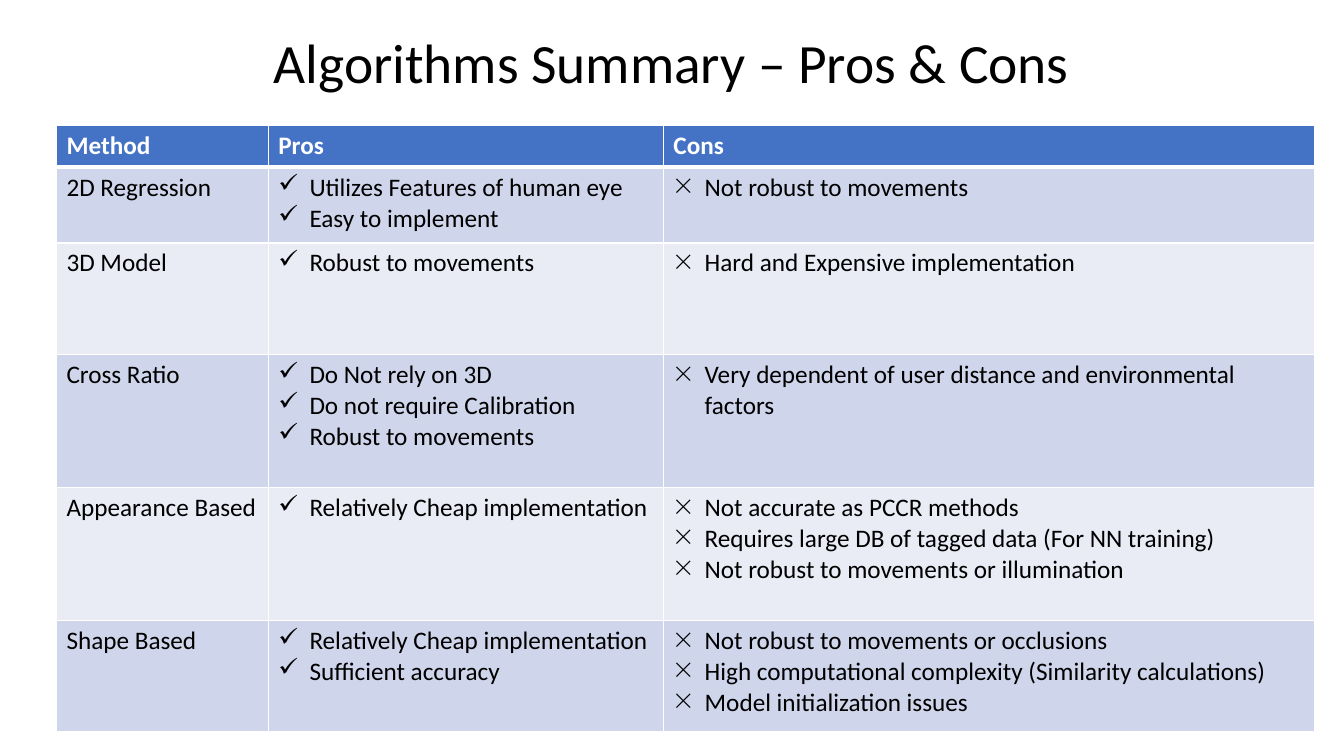
from lxml import etree
from pptx import Presentation
from pptx.dml.color import RGBColor
from pptx.enum.text import MSO_ANCHOR, PP_ALIGN
from pptx.oxml.ns import qn
from pptx.util import Inches, Pt

WHITE, BLACK, HEADER_BLUE = "FFFFFF", "000000", "4472C4"
BANDS = ("CFD5EA", "E9EBF5")
COLUMN_WIDTHS = (2.1, 3.92, 6.46)
ROW_HEIGHTS = (0.42, 0.75, 1.11, 1.32, 1.32, 1.1)
COLUMN_BULLETS = (None, "✓", "×")
HEADINGS = ("Method", "Pros", "Cons")
ALGORITHMS = (
    ("2D Regression",
     ("Utilizes Features of human eye", "Easy to implement"),
     ("Not robust to movements",)),
    ("3D Model",
     ("Robust to movements",),
     ("Hard and Expensive implementation",)),
    ("Cross Ratio",
     ("Do Not rely on 3D", "Do not require Calibration", "Robust to movements"),
     ("Very dependent of user distance and environmental factors",)),
    ("Appearance Based",
     ("Relatively Cheap implementation",),
     ("Not accurate as PCCR methods",
      "Requires large DB of tagged data (For NN training)",
      "Not robust to movements or illumination")),
    ("Shape Based",
     ("Relatively Cheap implementation", "Sufficient accuracy"),
     ("Not robust to movements or occlusions",
      "High computational complexity (Similarity calculations)",
      "Model initialization issues")),
)


def color(hex_code):
    """Turn a hex string into a colour."""
    return RGBColor.from_string(hex_code)


def style_font(paragraph, size, hex_code, bold=False):
    """Set the font of a whole paragraph."""
    font = paragraph.font
    font.name, font.size, font.bold = "Calibri", Pt(size), bold
    font.color.rgb = color(hex_code)


def add_bullet(paragraph, mark):
    """Give a paragraph a bullet character and a hanging indent."""
    properties = paragraph._p.get_or_add_pPr()
    indent = Inches(0.31)
    properties.set("marL", str(indent))
    properties.set("indent", str(-indent))
    bullet = etree.Element(qn("a:buChar"), char=mark)
    properties.insert(0, bullet)


def add_borders(cell, bottom_width):
    """Draw white borders around a cell."""
    properties = cell._tc.get_or_add_tcPr()
    widths = {"a:lnL": 1, "a:lnR": 1, "a:lnT": 1, "a:lnB": bottom_width}
    for position, (side, width) in enumerate(widths.items()):
        border = etree.Element(qn(side), w=str(Pt(width)))
        fill = etree.SubElement(border, qn("a:solidFill"))
        etree.SubElement(fill, qn("a:srgbClr"), val=WHITE)
        properties.insert(position, border)


def fill_cell(cell, lines, fill, text_color, bold=False, mark=None, bottom_width=1):
    """Write the lines of one cell and style it."""
    cell.fill.solid()
    cell.fill.fore_color.rgb = color(fill)
    add_borders(cell, bottom_width)
    cell.text = "\n".join(lines)
    for paragraph in cell.text_frame.paragraphs:
        style_font(paragraph, 18, text_color, bold)
        if mark:
            add_bullet(paragraph, mark)


def add_title(slide, left, top, width, height):
    """Add the centred slide title."""
    frame = slide.shapes.add_textbox(
        Inches(left), Inches(top), Inches(width), Inches(height)).text_frame
    frame.word_wrap = True
    frame.vertical_anchor = MSO_ANCHOR.MIDDLE
    heading = frame.paragraphs[0]
    heading.text = "Algorithms Summary – Pros & Cons"
    heading.alignment = PP_ALIGN.CENTER
    heading.line_spacing = 0.9
    style_font(heading, 39.6, BLACK)


def add_comparison(slide, left, top):
    """Add the table of pros and cons for each algorithm."""
    table = slide.shapes.add_table(
        len(ROW_HEIGHTS), len(COLUMN_WIDTHS), Inches(left), Inches(top),
        Inches(sum(COLUMN_WIDTHS)), Inches(sum(ROW_HEIGHTS))).table
    for column, width in zip(table.columns, COLUMN_WIDTHS):
        column.width = Inches(width)
    for row, height in zip(table.rows, ROW_HEIGHTS):
        row.height = Inches(height)
    for column, heading in enumerate(HEADINGS):
        fill_cell(table.cell(0, column), (heading,), HEADER_BLUE, WHITE,
                  bold=True, bottom_width=3)
    for index, (method, pros, cons) in enumerate(ALGORITHMS):
        for column, lines in enumerate(((method,), pros, cons)):
            fill_cell(table.cell(index + 1, column), lines, BANDS[index % 2],
                      BLACK, mark=COLUMN_BULLETS[column])


def main():
    """Build and save the slide."""
    deck = Presentation()
    deck.slide_width, deck.slide_height = Inches(13.33), Inches(7.5)
    slide = deck.slides.add_slide(deck.slide_layouts[6])
    add_title(slide, 0.91, 0.32, 11.5, 0.67)
    add_comparison(slide, 0.56, 1.24)
    deck.save("out.pptx")


main()
